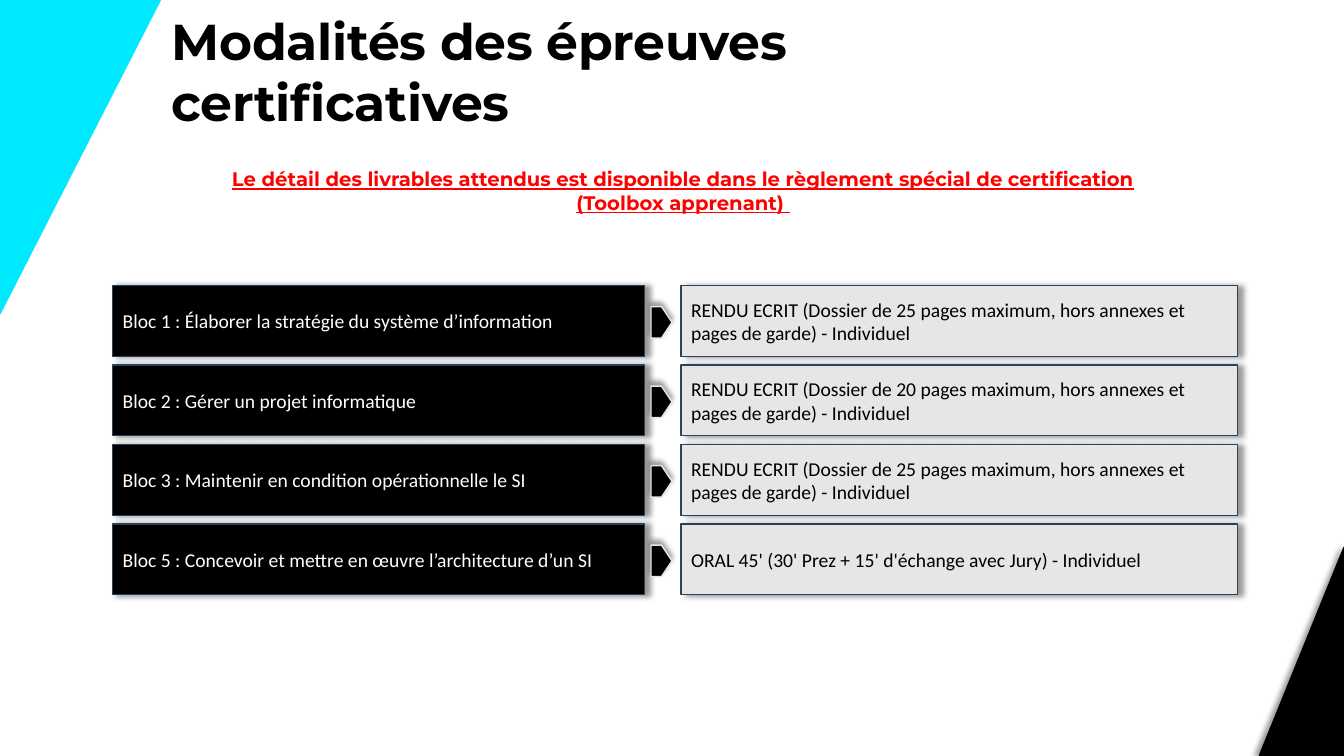
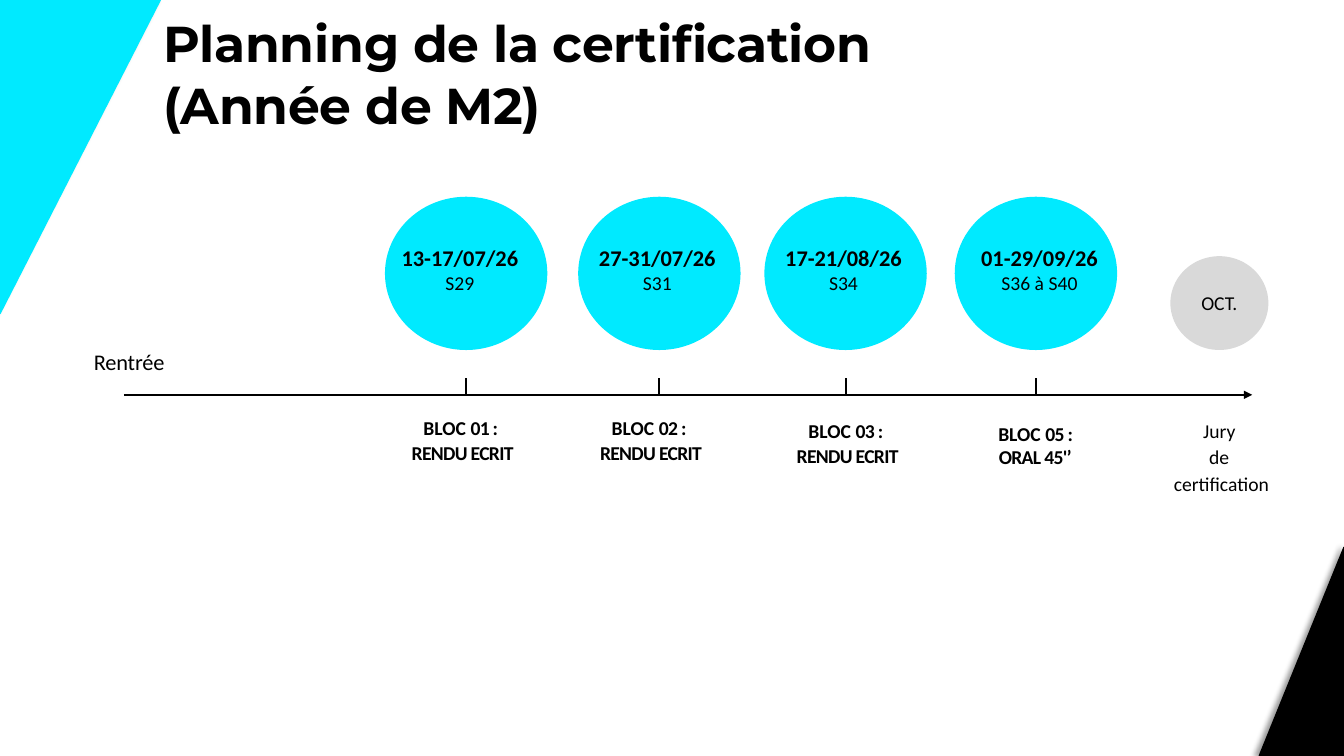
import dataclasses

import lxml.etree
import pptx
import pptx.dml.color
import pptx.enum.shapes
import pptx.enum.text
import pptx.oxml.ns
import pptx.util

Pt = pptx.util.Pt
qn = pptx.oxml.ns.qn
SHAPE = pptx.enum.shapes.MSO_SHAPE
ANCHOR = pptx.enum.text.MSO_ANCHOR
ALIGN = pptx.enum.text.PP_ALIGN


@dataclasses.dataclass(frozen=True)
class Theme:
    cyan: str = "00EAFF"
    black: str = "000000"
    white: str = "FFFFFF"
    red: str = "FF0000"
    pale: str = "E7E6E6"
    grey: str = "D9D9D9"
    edge: str = "28445D"
    head: str = "Montserrat"
    body: str = "Calibri"
    title: float = 36
    large: float = 16
    text: float = 14


@dataclasses.dataclass(frozen=True)
class Box:
    x: float
    y: float
    w: float
    h: float

    def inner(self, x, y, w, h):
        return Box(self.x + x, self.y + y, w, h)

    def place(self):
        return Pt(self.x), Pt(self.y), Pt(self.w), Pt(self.h)


@dataclasses.dataclass(frozen=True)
class Run:
    text: str
    size: float = Theme.text
    color: str = Theme.black
    bold: bool = False
    line: bool = False
    font: str = Theme.body
    gap: float = 0


T = Theme()
PAGE = Box(0, 0, 960, 540)


def rgb(color):
    return pptx.dml.color.RGBColor.from_string(color)


def write(shape, paras, align=ALIGN.CENTER, anchor=ANCHOR.TOP,
          inset=(7.2, 3.6, 7.2, 3.6), before=0, lead=None):
    frame = shape.text_frame
    frame.word_wrap = True
    frame.vertical_anchor = anchor
    (frame.margin_left, frame.margin_top,
     frame.margin_right, frame.margin_bottom) = map(Pt, inset)
    for i, runs in enumerate(paras):
        para = frame.add_paragraph() if i else frame.paragraphs[0]
        para.alignment = align
        if i and before:
            para.space_before = Pt(before)
        if lead:
            para.line_spacing = lead
        for item in runs:
            run = para.add_run()
            run.text = item.text
            font = run.font
            font.name, font.size = item.font, Pt(item.size)
            font.bold, font.underline = item.bold, item.line
            font.color.rgb = rgb(item.color)
            if item.gap:
                font._element.set("spc", str(round(item.gap * 100)))


def label(slide, box, paras, **style):
    write(slide.shapes.add_textbox(*box.place()), paras, **style)


def shade(shape, angle):
    effect = shape._element.spPr.find(qn("a:effectLst"))
    outer = lxml.etree.SubElement(
        effect, qn("a:outerShdw"), blurRad=str(Pt(4)), dist=str(Pt(3)),
        dir=str(angle * 60000), algn="ctr", rotWithShape="0")
    tint = lxml.etree.SubElement(outer, qn("a:srgbClr"), val=T.black)
    lxml.etree.SubElement(tint, qn("a:alpha"), val="40000")


def form(slide, kind, box, fill, edge=None, angle=None):
    shape = slide.shapes.add_shape(kind, *box.place())
    shape.shadow.inherit = False
    shape.fill.solid()
    shape.fill.fore_color.rgb = rgb(fill)
    if edge:
        shape.line.color.rgb = rgb(edge)
        shape.line.width = Pt(1)
    else:
        shape.line.fill.background()
    if angle is not None:
        shade(shape, angle)
    return shape


def stroke(slide, x1, y1, x2, y2, arrow=False):
    line = slide.shapes.add_connector(
        pptx.enum.shapes.MSO_CONNECTOR.STRAIGHT, *map(Pt, (x1, y1, x2, y2)))
    line.line.color.rgb = rgb(T.black)
    line.line.width = Pt(1.5)
    props = line._element.spPr
    if arrow:
        lxml.etree.SubElement(
            props.find(qn("a:ln")), qn("a:tailEnd"), type="triangle")
    lxml.etree.SubElement(props, qn("a:effectLst"))


def corners(slide, box):
    low = box.inner(box.w - 60.5, box.h - 149, 60.5, 149)
    top = box.inner(0, 0, 114.5, 224)
    for area, color, turn in ((low, T.black, 0), (top, T.cyan, 180)):
        shape = form(slide, SHAPE.ISOSCELES_TRIANGLE, area, color, color, 180)
        shape.adjustments[0] = 1
        shape.rotation = turn


def title(slide, box, lines):
    paras = [[Run(line, T.title, bold=True, font=T.head, gap=-0.2)]
             for line in lines]
    label(slide, box, paras, align=ALIGN.LEFT, anchor=ANCHOR.MIDDLE,
          inset=(0, 2, 0, 0), before=1.1)


def start(deck, box, lines):
    slide = deck.slides.add_slide(deck.slide_layouts[6])
    corners(slide, PAGE)
    title(slide, box, lines)
    return slide


def bloc(slide, box, name, task):
    cells = ((box.inner(0, 0, 380, box.h), name, T.black, T.white),
             (box.inner(box.w - 397.5, 0, 397.5, box.h), task, T.pale, T.black))
    for area, text, fill, ink in cells:
        shape = form(slide, SHAPE.RECTANGLE, area, fill, T.edge, 0)
        write(shape, [[Run(text, color=ink)]], align=ALIGN.LEFT,
              anchor=ANCHOR.MIDDLE)
    form(slide, SHAPE.PENTAGON, box.inner(384.5, 15, 15, 22.5),
         T.black, T.pale, 270)


def exams(deck):
    slide = start(deck, Box(122.5, 29.5, 673, 40.5),
                  ["Modalités des épreuves certificatives"])
    note = ("Le détail des livrables attendus est disponible dans le "
            "règlement spécial de certification (Toolbox apprenant) ")
    label(slide, Box(129.5, 116, 717, 41),
          [[Run(note, color=T.red, bold=True, line=True, font=T.head)]])
    paper = ("RENDU ECRIT (Dossier de {} pages maximum, hors annexes et "
             "pages de garde) - Individuel")
    rows = (
        ("Bloc 1 : Élaborer la stratégie du système d’information",
         paper.format(25)),
        ("Bloc 2 : Gérer un projet informatique", paper.format(20)),
        ("Bloc 3 : Maintenir en condition opérationnelle le SI",
         paper.format(25)),
        ("Bloc 5 : Concevoir et mettre en œuvre l’architecture d’un SI",
         "ORAL 45' (30' Prez + 15' d'échange avec Jury) - Individuel"),
    )
    for i, (name, task) in enumerate(rows):
        bloc(slide, Box(80.5, 204 + 56.8 * i, 803.5, 50.5), name, task)


def stage(slide, box, dates, week, shift, name, tag):
    form(slide, SHAPE.OVAL, box.inner(0, 0, box.w, 109.5), T.cyan)
    label(slide, box.inner(shift, 30.5, 110, 44),
          [[Run(dates, T.large, bold=True)], [Run(week)]])
    mid = box.x + box.w / 2
    stroke(slide, mid, box.y + 129.5, mid, box.y + 141.5)
    paras = [[Run(line, bold=True, gap=-0.5)] for line in name]
    paras[0].insert(0, Run("BLOC ", bold=True))
    label(slide, box.inner(*tag, 37), paras, inset=(0, 3, 0, 0), before=1.1)


def jury(slide, box):
    shape = form(slide, SHAPE.OVAL, box.inner(19.5, 0, 70, 67), T.grey)
    write(shape, [[Run("OCT.")]], anchor=ANCHOR.MIDDLE, inset=(0, 0, 0, 0))
    label(slide, box.inner(0, 113, box.w, 57),
          [[Run(word)] for word in ("Jury ", "de ", "certification")],
          inset=(0, 2, 0, 0), before=1, lead=1.07)


def plan(deck):
    slide = start(deck, Box(116.5, 6.5, 777.5, 89.5),
                  ["Planning de la certification", "(Année de M2)"])
    stroke(slide, 88.5, 282, 894.5, 282, arrow=True)
    label(slide, Box(54.5, 247, 79, 20),
          [[Run("Rentrée ", T.large, gap=-0.1)]], inset=(0, 1.5, 0, 0))
    task = "RENDU ECRIT"
    stages = (
        (275, "13-17/07/26", "S29", -1.5, ("01 : ", task), (-1.5, 153.5, 114)),
        (413, "27-31/07/26", "S31", 1.5, ("02 : ", task), (-5, 153.5, 114)),
        (546, "17-21/08/26", "S34", 1.5, ("03 : ", task), (2.5, 155.5, 114)),
        (682, "01-29/09/26", "S36 à S40", 5.5, ("05 : ORAL 45'’",),
         (17, 157.5, 81)),
    )
    for x, *facts in stages:
        stage(slide, Box(x, 140.5, 116, 192), *facts)
    jury(slide, Box(816.5, 183, 112, 170))


def main():
    deck = pptx.Presentation()
    deck.slide_width, deck.slide_height = Pt(PAGE.w), Pt(PAGE.h)
    exams(deck)
    plan(deck)
    deck.save("out.pptx")


if __name__ == "__main__":
    main()
